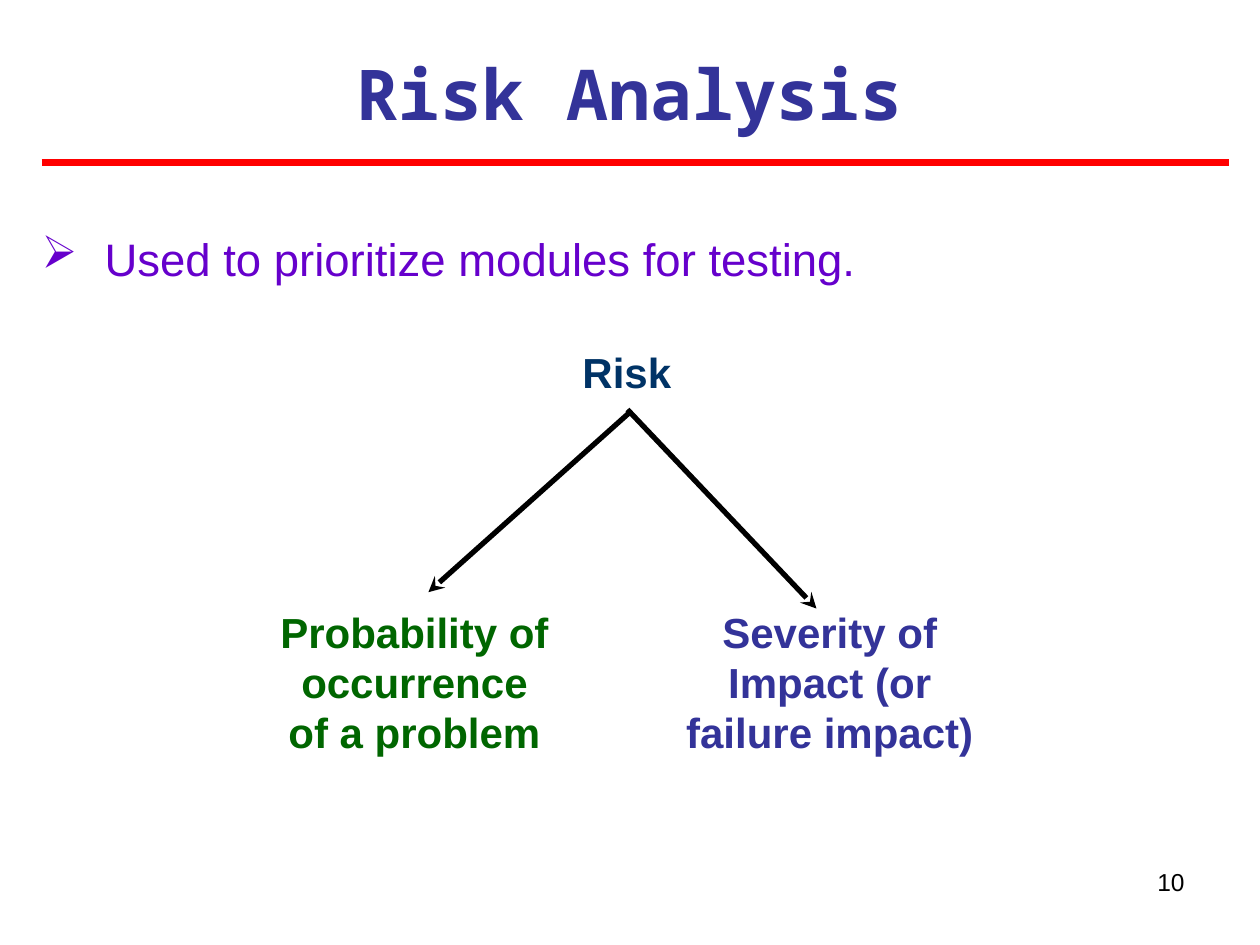
from dataclasses import dataclass

from lxml import etree
from pptx import Presentation
from pptx.dml.color import RGBColor
from pptx.enum.shapes import MSO_CONNECTOR
from pptx.enum.text import PP_ALIGN
from pptx.oxml.ns import qn
from pptx.util import Inches, Pt

STRAIGHT = MSO_CONNECTOR.STRAIGHT
CENTER, RIGHT, JUSTIFY = PP_ALIGN.CENTER, PP_ALIGN.RIGHT, PP_ALIGN.JUSTIFY


@dataclass(frozen=True)
class Theme:
    body_font: str = "Arial"
    title_font: str = "Noto Sans Mono"
    title_size: int = 40
    bullet_size: int = 26
    node_size: int = 24
    number_size: int = 14
    indigo: str = "333399"
    navy: str = "003366"
    purple: str = "6600CC"
    green: str = "006600"
    red: str = "FF0000"
    black: str = "000000"


THEME = Theme()


@dataclass(frozen=True)
class Label:
    text: str
    box: tuple[float, float, float, float]
    size: int
    color: str
    align: PP_ALIGN = CENTER
    bold: bool = True
    font: str = THEME.body_font
    inset: bool = False
    bullet: str = ""


@dataclass(frozen=True)
class Line:
    start: tuple[float, float]
    end: tuple[float, float]
    color: str
    width: float
    arrow: bool = False


LABELS = [
    Label("10", (7.17, 6.83, 2.33, 0.52), THEME.number_size, THEME.black,
          align=RIGHT, bold=False, inset=True),
    Label("Risk Analysis", (0.33, 0.35, 9.33, 0.77), THEME.title_size,
          THEME.indigo, font=THEME.title_font, inset=True),
    Label("Used to prioritize modules for testing.", (0.33, 1.83, 9.33, 0.43),
          THEME.bullet_size, THEME.purple, align=JUSTIFY, bold=False, bullet="➢"),
    Label("Risk", (3.89, 2.75, 2.17, 0.4), THEME.node_size, THEME.navy),
    Label("Probability of occurrence of a problem", (2.21, 4.81, 2.16, 1.2),
          THEME.node_size, THEME.green),
    Label("Severity of Impact (or failure impact)", (5.42, 4.81, 2.33, 1.2),
          THEME.node_size, THEME.indigo),
]

LINES = [
    Line((0.33, 1.29), (9.75, 1.29), THEME.red, 4.5),
    Line((4.99, 3.28), (3.4, 4.7), THEME.black, 3, arrow=True),
    Line((4.98, 3.25), (6.48, 4.83), THEME.black, 3, arrow=True),
]


def add_label(s, label: Label) -> None:
    tf = s.shapes.add_textbox(*map(Inches, label.box)).text_frame
    tf.word_wrap = True
    if not label.inset:
        tf.margin_left = tf.margin_top = tf.margin_right = tf.margin_bottom = 0
    p = tf.paragraphs[0]
    p.text = label.text
    p.alignment = label.align
    p.font.name = label.font
    p.font.size = Pt(label.size)
    p.font.bold = label.bold
    p.font.color.rgb = RGBColor.from_string(label.color)
    if label.bullet:
        pPr = p._p.get_or_add_pPr()
        pPr.set("marL", str(Inches(0.5)))
        pPr.set("indent", str(Inches(-0.5)))
        bullet = etree.Element(qn("a:buChar"), char=label.bullet)
        pPr.insert(0, bullet)


def add_line(s, line: Line) -> None:
    cx = s.shapes.add_connector(
        STRAIGHT, *map(Inches, line.start), *map(Inches, line.end))
    cx.line.color.rgb = RGBColor.from_string(line.color)
    cx.line.width = Pt(line.width)
    if line.arrow:
        ln = cx.line._get_or_add_ln()
        etree.SubElement(ln, qn("a:tailEnd"), type="stealth")
    etree.SubElement(cx._element.spPr, qn("a:effectLst"))


def main() -> None:
    prs = Presentation()
    prs.slide_width, prs.slide_height = Inches(10), Inches(7.5)
    s = prs.slides.add_slide(prs.slide_layouts[6])
    for label in LABELS:
        add_label(s, label)
    for line in LINES:
        add_line(s, line)
    prs.save("out.pptx")


if __name__ == "__main__":
    main()
